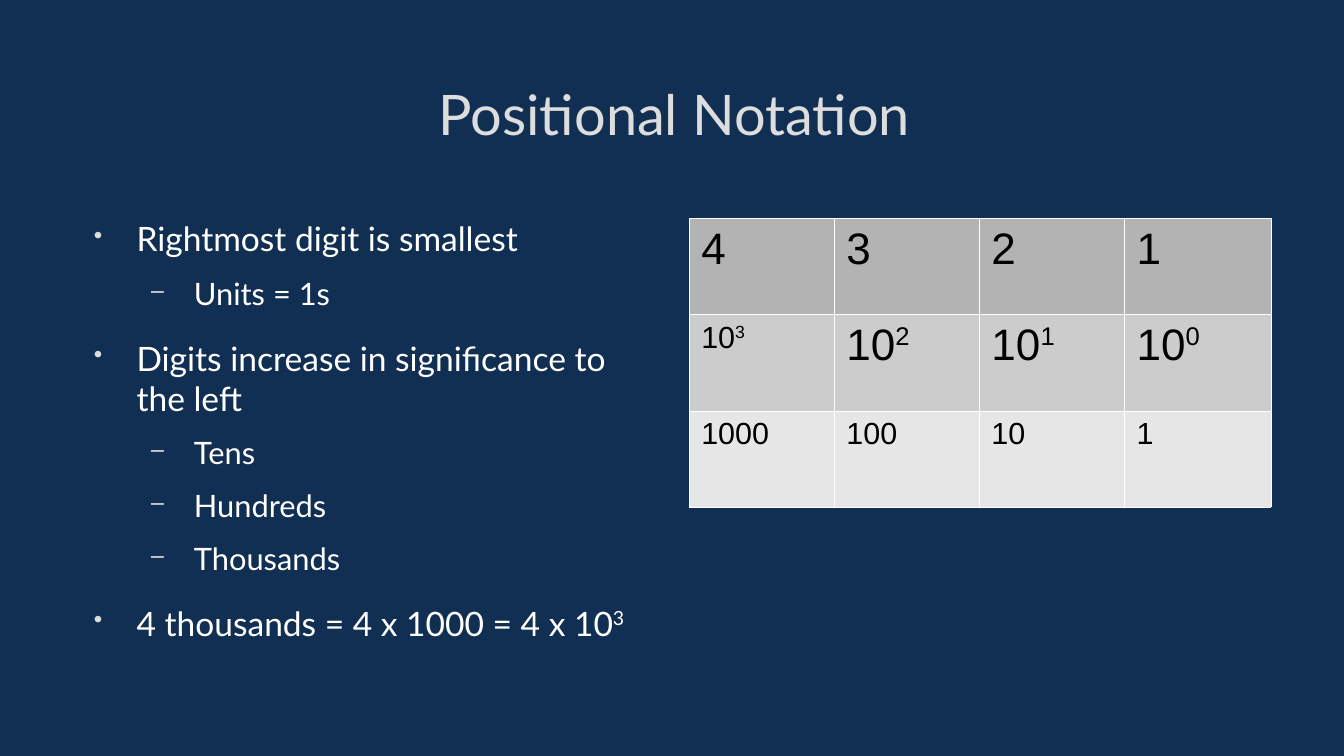
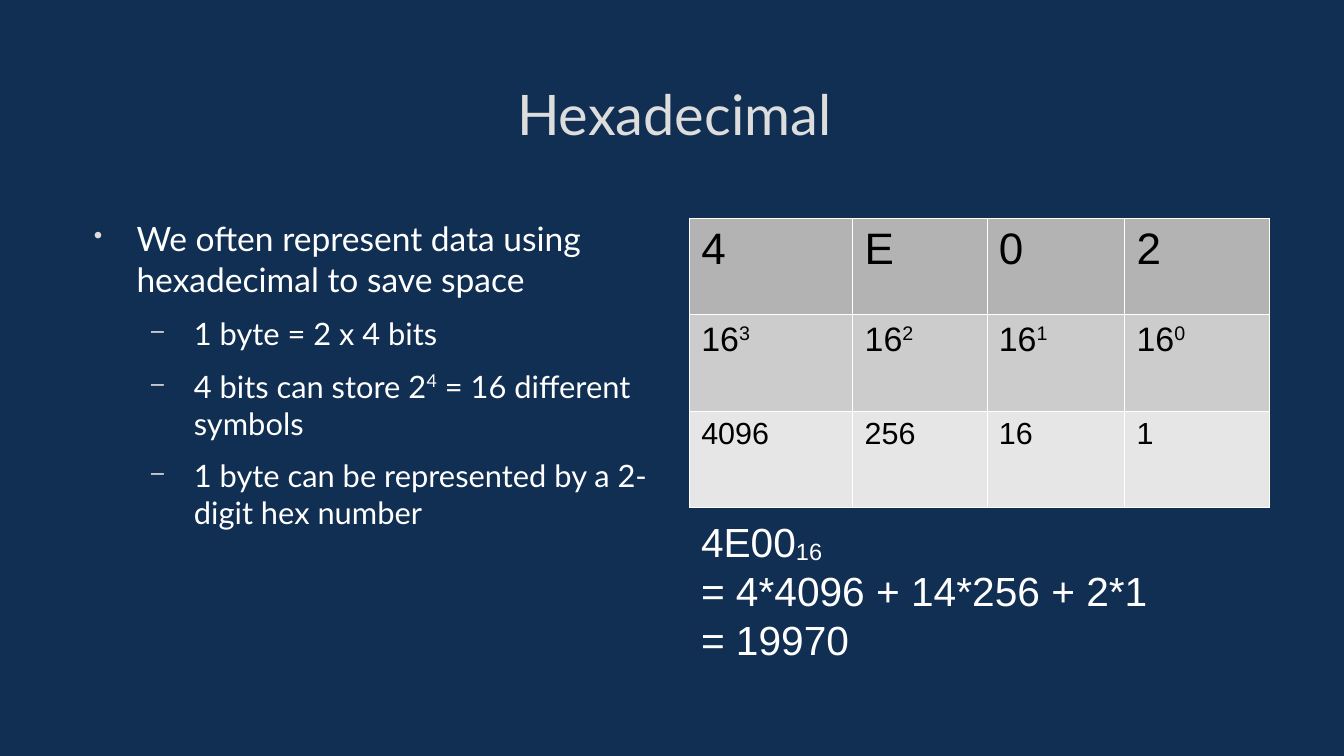
from lxml import etree
from pptx import Presentation
from pptx.dml.color import RGBColor
from pptx.enum.text import MSO_ANCHOR, MSO_AUTO_SIZE, PP_ALIGN
from pptx.oxml.ns import qn
from pptx.util import Inches, Pt

MIDDLE = MSO_ANCHOR.MIDDLE
TOP = MSO_ANCHOR.TOP
NO_AUTOSIZE = MSO_AUTO_SIZE.NONE
CENTER = PP_ALIGN.CENTER
TITLE_ONLY = 5
NAVY, SILVER, WHITE, BLACK = "112F52", "DDDDDD", "FFFFFF", "000000"
ROW_FILLS = ["B3B3B3", "CCCCCC", "E6E6E6"]
BULLET_LEVELS = [("•", 0.47, 15.6, 19.8), ("–", 0.94, 9.3, 18.2)]
SUPERSCRIPT, SUBSCRIPT = 33, -8


def color(value):
    return RGBColor.from_string(value)


def add_element(parent, tag, **attributes):
    element = etree.SubElement(parent, qn(tag))
    for name, value in attributes.items():
        element.set(name, str(value))
    return element


class Deck:
    heading_font = "Lato"
    table_font = "Arial"
    left_column, right_column = Inches(0.65), Inches(5.65)
    content_top, column_width = Inches(1.79), Inches(4.76)

    def __init__(self):
        self.presentation = Presentation()
        self.presentation.slide_width = Inches(11.02)
        self.presentation.slide_height = Inches(6.2)
        fill = self.presentation.slide_master.background.fill
        fill.solid()
        fill.fore_color.rgb = color(NAVY)
        self.slide = None

    def add_runs(self, paragraph, text, size, font_name, font_color, shift=SUPERSCRIPT):
        """Parts between carets are set off the baseline."""
        for index, part in enumerate(text.split("^")):
            if not part:
                continue
            run = paragraph.add_run()
            run.text = part
            run.font.size = Pt(size)
            run.font.name = font_name
            run.font.color.rgb = color(font_color)
            if index % 2:
                run._r.get_or_add_rPr().set("baseline", str(shift * 1000))

    def prepare_frame(self, frame, anchor=TOP, margins=(0, 0), wrap=True):
        frame.auto_size = NO_AUTOSIZE
        frame.word_wrap = wrap
        frame.vertical_anchor = anchor
        frame.margin_left = frame.margin_right = Inches(margins[0])
        frame.margin_top = frame.margin_bottom = Inches(margins[1])

    def paragraphs(self, frame, count):
        return [frame.paragraphs[0]] + [frame.add_paragraph() for _ in range(count - 1)]

    def add_slide(self, title):
        layout = self.presentation.slide_layouts[TITLE_ONLY]
        self.slide = self.presentation.slides.add_slide(layout)
        shape = self.slide.shapes.title
        shape.left, shape.top = self.left_column, Inches(0.38)
        shape.width, shape.height = Inches(9.76), Inches(1.09)
        self.prepare_frame(shape.text_frame, MIDDLE)
        paragraph = shape.text_frame.paragraphs[0]
        paragraph.alignment = CENTER
        self.add_runs(paragraph, title, 33, self.heading_font, SILVER)

    def add_bullets(self, items):
        shape = self.slide.shapes.add_textbox(
            self.left_column, self.content_top, self.column_width, Inches(3.58))
        frame = shape.text_frame
        self.prepare_frame(frame)
        for index, (paragraph, (level, text)) in enumerate(
                zip(self.paragraphs(frame, len(items)), items)):
            symbol, indent, space, size = BULLET_LEVELS[level]
            paragraph.level = level
            properties = paragraph._p.get_or_add_pPr()
            properties.set("marL", str(Inches(indent)))
            properties.set("indent", str(Inches(-0.35)))
            bullet_color = add_element(properties, "a:buClr")
            add_element(bullet_color, "a:srgbClr", val=SILVER)
            add_element(properties, "a:buSzPct", val=75000)
            add_element(properties, "a:buChar", char=symbol)
            paragraph.space_before = Pt(space if index else 0)
            self.add_runs(paragraph, text, size, self.heading_font, WHITE)

    def add_borders(self, cell):
        properties = cell._tc.get_or_add_tcPr()
        for side in ("a:lnL", "a:lnR", "a:lnT", "a:lnB"):
            line = add_element(properties, side, w=Pt(0.06))
            fill = add_element(line, "a:solidFill")
            add_element(fill, "a:srgbClr", val=WHITE)

    def add_digit_table(self, widths, rows, sizes):
        row_height = Inches(0.79)
        table = self.slide.shapes.add_table(
            len(rows), len(widths), self.right_column, self.content_top,
            self.column_width, row_height * len(rows)).table
        table.first_row = table.horz_banding = False
        for column, width in zip(table.columns, widths):
            column.width = Inches(width)
        for row, texts, row_sizes, row_fill in zip(table.rows, rows, sizes, ROW_FILLS):
            row.height = row_height
            for cell, text, size in zip(row.cells, texts, row_sizes):
                self.add_borders(cell)
                cell.fill.solid()
                cell.fill.fore_color.rgb = color(row_fill)
                self.add_runs(cell.text_frame.paragraphs[0], text, size,
                              self.table_font, BLACK)

    def add_working(self, lines):
        shape = self.slide.shapes.add_textbox(
            self.right_column, Inches(4.19), Inches(3.86), Inches(1.32))
        frame = shape.text_frame
        self.prepare_frame(frame, margins=(0.1, 0.05), wrap=False)
        for paragraph, text in zip(self.paragraphs(frame, len(lines)), lines):
            self.add_runs(paragraph, text, 24, self.table_font, WHITE, SUBSCRIPT)


def main():
    deck = Deck()

    deck.add_slide("Positional Notation")
    deck.add_bullets([
        (0, "Rightmost digit is smallest"),
        (1, "Units = 1s"),
        (0, "Digits increase in significance to the left"),
        (1, "Tens"),
        (1, "Hundreds"),
        (1, "Thousands"),
        (0, "4 thousands = 4 x 1000 = 4 x 10^3^"),
    ])
    deck.add_digit_table(
        [1.19, 1.19, 1.19, 1.2],
        [["4", "3", "2", "1"],
         ["10^3^", "10^2^", "10^1^", "10^0^"],
         ["1000", "100", "10", "1"]],
        [[26] * 4, [18, 26, 26, 26], [18] * 4])

    deck.add_slide("Hexadecimal")
    deck.add_bullets([
        (0, "We often represent data using hexadecimal to save space"),
        (1, "1 byte = 2 x 4 bits"),
        (1, "4 bits can store 2^4^ = 16 different symbols"),
        (1, "1 byte can be represented by a 2-digit hex number"),
    ])
    deck.add_digit_table(
        [1.34, 1.1, 1.13, 1.19],
        [["4", "E", "0", "2"],
         ["16^3^", "16^2^", "16^1^", "16^0^"],
         ["4096", "256", "16", "1"]],
        [[26] * 4, [20] * 4, [18] * 4])
    deck.add_working(["4E00^16^", "= 4*4096 + 14*256 + 2*1", "= 19970"])

    deck.presentation.save("out.pptx")


if __name__ == "__main__":
    main()
